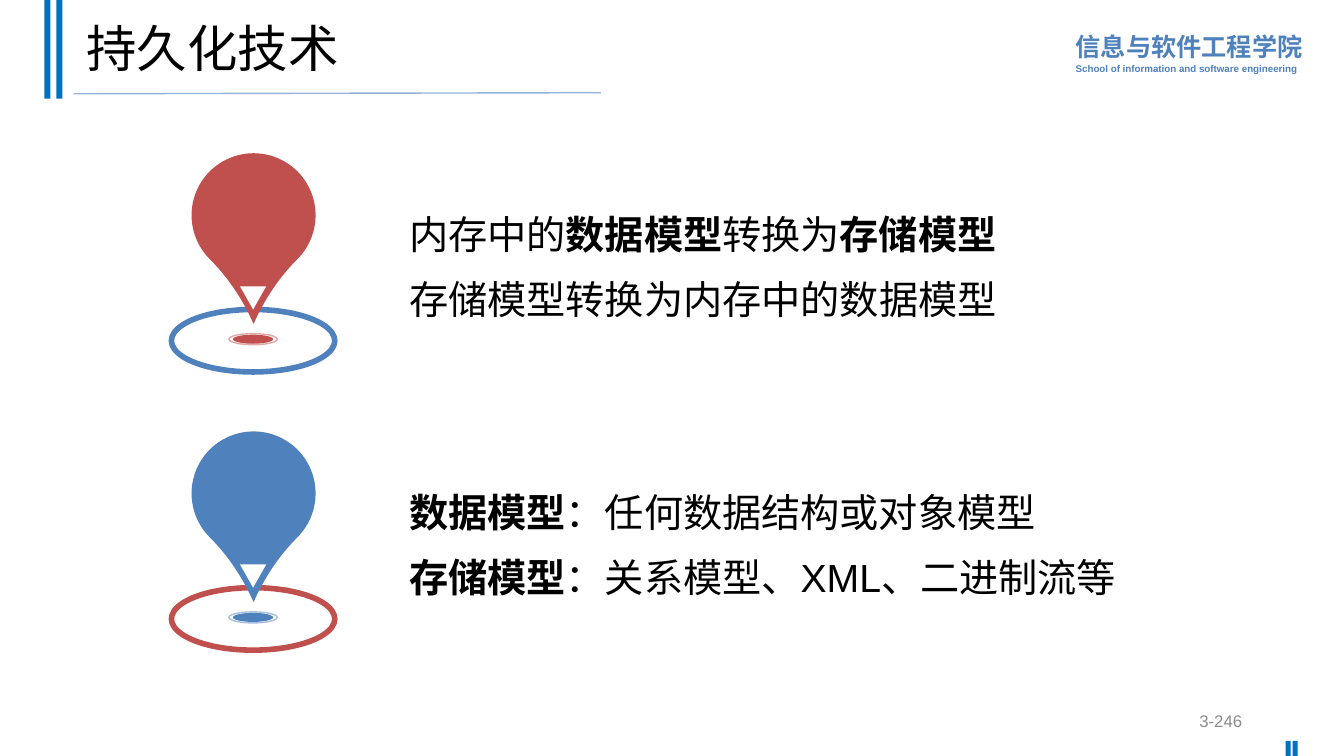
from dataclasses import dataclass

from lxml.etree import SubElement
from pptx import Presentation
from pptx.dml.color import RGBColor
from pptx.enum.shapes import MSO_CONNECTOR, MSO_SHAPE
from pptx.enum.text import MSO_ANCHOR, MSO_AUTO_SIZE, PP_ALIGN
from pptx.oxml.ns import qn
from pptx.util import Emu, Pt


@dataclass(frozen=True)
class Theme:
    """Colours, font and type sizes of the slide."""
    font: str = "Arial"
    ink: str = "000000"
    paper: str = "FFFFFF"
    grey: str = "8C8C8C"
    bar: str = "0070C0"
    rule: str = "95B3D7"
    blue: str = "4F81BD"
    red: str = "C0504D"
    title: int = 36
    body: int = 28
    school: int = 18
    number: int = 12
    caption: int = 7


T = Theme()
SCALE = 9144


def px(n):
    """Turn px into EMU."""
    return Emu(n * SCALE)


def rgb(color):
    """Turn a hex string into a colour."""
    return RGBColor.from_string(color)


def add_shape(shapes, kind, box, fill=None, line=None, width=1, alpha=None):
    """Add a preset shape with a plain fill and outline."""
    sp = shapes.add_shape(kind, *map(px, box))
    sp.shadow.inherit = False
    if fill:
        sp.fill.solid()
        sp.fill.fore_color.rgb = rgb(fill)
    else:
        sp.fill.background()
    if line:
        sp.line.color.rgb = rgb(line)
        sp.line.width = Pt(width)
    else:
        sp.line.fill.background()
    if alpha:
        clr = sp.line._get_or_add_ln().find(".//" + qn("a:srgbClr"))
        SubElement(clr, qn("a:alpha"), val=str(alpha * 1000))
    return sp


def add_text(s, box, paragraphs, color=T.ink, spacing=1.0, before=0,
             align=PP_ALIGN.LEFT, anchor=MSO_ANCHOR.TOP, wrap=True, grow=False):
    """Add a text box from paragraphs of (text, size, bold) runs."""
    tf = s.shapes.add_textbox(*map(px, box)).text_frame
    tf.word_wrap = wrap
    tf.vertical_anchor = anchor
    tf.auto_size = MSO_AUTO_SIZE.SHAPE_TO_FIT_TEXT if grow else MSO_AUTO_SIZE.NONE
    for i, runs in enumerate(paragraphs):
        p = tf.add_paragraph() if i else tf.paragraphs[0]
        p.alignment = align
        p.line_spacing = spacing
        if i and before:
            p.space_before = Pt(before)
        for text, size, bold in runs:
            r = p.add_run()
            r.text = text
            r.font.name = T.font
            r.font.size = Pt(size)
            r.font.bold = bold
            r.font.color.rgb = rgb(color)


def add_bars(s, left, top, width, height, gap):
    """Draw a pair of upright bars."""
    for i in range(2):
        box = (left + i * gap, top, width, height)
        add_shape(s.shapes, MSO_SHAPE.RECTANGLE, box, fill=T.bar)


def add_header(s, left, top, title):
    """Draw the bars, rule, title and school name."""
    add_bars(s, left, top, 6, 98, 12)
    rule = s.shapes.add_connector(MSO_CONNECTOR.STRAIGHT, px(left + 29), px(top + 93),
                                  px(left + 552), px(top + 92))
    rule.line.color.rgb = rgb(T.rule)
    rule.line.width = Pt(1)
    SubElement(rule._element.spPr, qn("a:effectLst"))
    add_text(s, (left + 32, top + 7, 1150, 88), [[(title, T.title, False)]],
             spacing=0.9, anchor=MSO_ANCHOR.MIDDLE)
    school = [[("信息与软件工程学院", T.school, True)],
              [("School of information and software engineering", T.caption, True)]]
    add_text(s, (left + 1013, top + 23, 245, 56), school, color=T.blue,
             spacing=1.1, wrap=False, grow=True)


def add_footer(s, left, top, number):
    """Draw the slide number and the corner bars."""
    add_text(s, (left, top, 300, 40), [[(number, T.number, False)]], color=T.grey,
             align=PP_ALIGN.RIGHT, anchor=MSO_ANCHOR.MIDDLE)
    add_bars(s, left + 333, top + 40, 5, 15, 7)


def add_pin(s, left, top, color, ring):
    """Draw a map pin standing in a ring."""
    g = s.shapes.add_group_shape().shapes
    oval = MSO_SHAPE.OVAL
    add_shape(g, oval, (left, top + 155, 162, 62), line=ring, width=4)
    drop = add_shape(g, MSO_SHAPE.TEAR, (left + 20, top, 123, 123), fill=color)
    drop.adjustments[0] = 1.24
    drop.rotation = 135
    add_shape(g, oval, (left + 61, top + 180, 40, 9), fill=color)
    add_shape(g, oval, (left + 57, top + 179, 48, 11), line=color, alpha=50)
    tip = add_shape(g, MSO_SHAPE.ISOSCELES_TRIANGLE, (left + 68, top + 132, 26, 23),
                    fill=T.paper)
    tip.rotation = 180


def add_item(s, left, top, width, color, ring, lines):
    """Draw a pin with its lines of text beside it."""
    add_pin(s, left, top, color, ring)
    runs = [[(text, T.body, bold) for text, bold in line] for line in lines]
    add_text(s, (left + 226, top + 42, width, 132), runs, spacing=1.2, before=6,
             grow=True)


def main():
    """Build the slide and save it."""
    prs = Presentation()
    prs.slide_width, prs.slide_height = px(1333), px(750)
    s = prs.slides.add_slide(prs.slide_layouts[6])
    add_header(s, 44, 0, "持久化技术")
    add_item(s, 170, 152, 645, T.red, T.blue, [
        [("内存中的", False), ("数据模型", True), ("转换为", False), ("存储模型", True)],
        [("存储模型转换为内存中的数据模型", False)],
    ])
    add_item(s, 170, 428, 760, T.blue, T.red, [
        [("数据模型", True), ("：任何数据结构或对象模型", False)],
        [("存储模型", True), ("：关系模型、XML、二进制流等", False)],
    ])
    add_footer(s, 942, 695, "3-246")
    prs.save("out.pptx")


if __name__ == "__main__":
    main()
